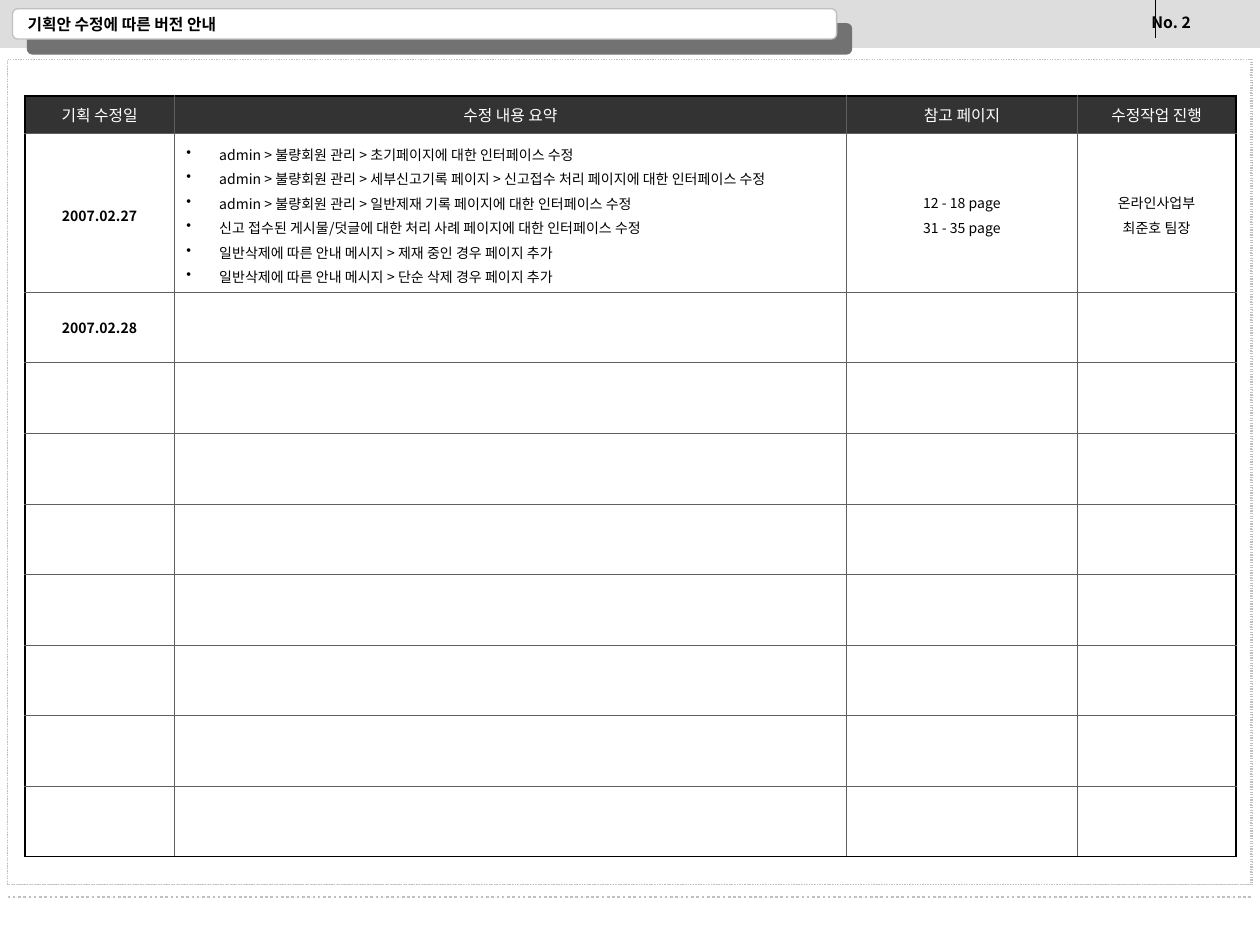
from lxml.etree import SubElement
from pptx import Presentation
from pptx.dml.color import RGBColor
from pptx.enum.dml import MSO_LINE
from pptx.enum.shapes import MSO_CONNECTOR, MSO_SHAPE
from pptx.enum.text import MSO_ANCHOR, MSO_AUTO_SIZE, PP_ALIGN
from pptx.oxml.ns import qn
from pptx.util import Inches, Pt

FONT = "Noto Sans CJK KR"
BLACK, WHITE, SILVER, GRID = "000000", "FFFFFF", "C0C0C0", "5F5F5F"
COLUMN_WIDTHS = [1.18, 5.34, 1.83, 1.26]
ROW_HEIGHTS = [0.3, 1.26] + [0.56] * 8
HEADERS = ["기획 수정일", "수정 내용 요약", "참고 페이지", "수정작업 진행"]
CHANGES = [
    "admin > 불량회원 관리 > 초기페이지에 대한 인터페이스 수정",
    "admin > 불량회원 관리 > 세부신고기록 페이지 > 신고접수 처리 페이지에 대한 인터페이스 수정",
    "admin > 불량회원 관리 > 일반제재 기록 페이지에 대한 인터페이스 수정",
    "신고 접수된 게시물/덧글에 대한 처리 사례 페이지에 대한 인터페이스 수정",
    "일반삭제에 따른 안내 메시지 > 제재 중인 경우 페이지 추가",
    "일반삭제에 따른 안내 메시지 > 단순 삭제 경우 페이지 추가",
]
REVISIONS = [
    ["2007.02.27", "\n".join(CHANGES), "12 - 18 page\n31 - 35 page", "온라인사업부\n최준호 팀장"],
    ["2007.02.28", "", "", ""],
]


def color(value):
    return RGBColor.from_string(value)


def style_line(line, value, width, dotted=False):
    line.color.rgb = color(value)
    line.width = Pt(width)
    if dotted:
        line.dash_style = MSO_LINE.ROUND_DOT


def style_paragraph(paragraph, size, value=BLACK, bold=False):
    font = paragraph.font
    font.size = Pt(size)
    font.bold = bold
    font.color.rgb = color(value)
    font.name = FONT
    SubElement(font._element, qn("a:ea"), typeface=FONT)


def add_panel(page, left, top, width, height, fill, dotted=True, kind=MSO_SHAPE.RECTANGLE):
    panel = page.shapes.add_shape(kind, Inches(left), Inches(top), Inches(width), Inches(height))
    panel.shadow.inherit = False
    panel.fill.solid()
    panel.fill.fore_color.rgb = color(fill)
    style_line(panel.line, SILVER, 0.75, dotted)
    return panel


def add_title_bar(page):
    bar = add_panel(page, 0.1, 0.07, 6.54, 0.24, WHITE, False, MSO_SHAPE.ROUNDED_RECTANGLE)
    effects = bar._element.spPr.find(qn("a:effectLst"))
    shadow = SubElement(effects, qn("a:outerShdw"), dist=str(Pt(12.1)), dir="2700000",
                        algn="ctr", rotWithShape="0")
    SubElement(shadow, qn("a:srgbClr"), val="727272")


def add_rule(page, start, end, value, width, dotted=False):
    rule = page.shapes.add_connector(MSO_CONNECTOR.STRAIGHT, *map(Inches, start + end))
    style_line(rule.line, value, width, dotted)
    SubElement(rule._element.spPr, qn("a:effectLst"))


def add_label(page, text, left, top, width, height):
    box = page.shapes.add_textbox(Inches(left), Inches(top), Inches(width), Inches(height))
    frame = box.text_frame
    frame.word_wrap = True
    frame.text = text
    style_paragraph(frame.paragraphs[0], 9, bold=True)
    return frame


def add_bullet(paragraph):
    properties = paragraph._p.get_or_add_pPr()
    properties.set("marL", str(Inches(0.26)))
    properties.set("indent", str(-Inches(0.26)))
    marker_color = SubElement(properties, qn("a:buClr"))
    SubElement(marker_color, qn("a:srgbClr"), val=BLACK)
    SubElement(properties, qn("a:buChar"), char="•")


def set_borders(cell, outer_sides):
    properties = cell._tc.get_or_add_tcPr()
    for side in "LRTB":
        value, width = (BLACK, 1.08) if side in outer_sides else (GRID, 0.45)
        border = SubElement(properties, qn(f"a:ln{side}"), w=str(Pt(width)))
        fill = SubElement(border, qn("a:solidFill"))
        SubElement(fill, qn("a:srgbClr"), val=value)


def fill_cell(cell, text, row, column):
    cell.vertical_anchor = MSO_ANCHOR.MIDDLE
    cell.margin_left = cell.margin_right = Inches(0.1)
    cell.margin_top = cell.margin_bottom = Inches(0.05)
    if row == 0:
        cell.fill.solid()
        cell.fill.fore_color.rgb = color("333333")
    else:
        cell.fill.background()
    if not text:
        return
    cell.text_frame.text = text
    for paragraph in cell.text_frame.paragraphs:
        if row == 1 and column == 1:
            add_bullet(paragraph)
        else:
            paragraph.alignment = PP_ALIGN.CENTER
        if row == 1:
            paragraph.line_spacing = 1.2
        if row == 0:
            style_paragraph(paragraph, 9, WHITE)
        else:
            style_paragraph(paragraph, 8, bold=column == 0)


def add_revision_table(page):
    rows, columns = len(ROW_HEIGHTS), len(COLUMN_WIDTHS)
    frame = page.shapes.add_table(rows, columns, Inches(0.2), Inches(0.76),
                                  Inches(sum(COLUMN_WIDTHS)), Inches(sum(ROW_HEIGHTS)))
    table = frame.table
    table.first_row = table.horz_banding = False
    for column, width in enumerate(COLUMN_WIDTHS):
        table.columns[column].width = Inches(width)
    contents = [HEADERS] + REVISIONS
    contents += [[""] * columns] * (rows - len(contents))
    for row, texts in enumerate(contents):
        table.rows[row].height = Inches(ROW_HEIGHTS[row])
        for column, text in enumerate(texts):
            edges = {"L": column == 0, "R": column == columns - 1,
                     "T": row == 0, "B": row == rows - 1}
            cell = table.cell(row, column)
            set_borders(cell, [side for side, outer in edges.items() if outer])
            fill_cell(cell, text, row, column)


def main():
    deck = Presentation()
    deck.slide_width, deck.slide_height = Inches(10), Inches(7.5)
    page = deck.slides.add_slide(deck.slide_layouts[6])
    header = add_panel(page, 0, 0, 10, 0.38, "DDDDDD", False)
    header.line.fill.background()
    add_rule(page, (9.17, 0), (9.17, 0.3), BLACK, 0.75)
    number = add_label(page, "No. 2", 9.04, 0.05, 1.08, 0.28)
    number.word_wrap = False
    number.auto_size = MSO_AUTO_SIZE.SHAPE_TO_FIT_TEXT
    add_title_bar(page)
    add_rule(page, (0.06, 7.12), (9.94, 7.12), SILVER, 1.5, True)
    for left, width in [(7.14, 2.8), (0.06, 7.03), (0.06, 9.87)]:
        add_panel(page, left, 0.47, width, 6.55, WHITE)
    title = add_label(page, "기획안 수정에 따른 버전 안내", 0.12, 0.1, 5.42, 0.18)
    title.vertical_anchor = MSO_ANCHOR.MIDDLE
    add_revision_table(page)
    deck.save("out.pptx")


if __name__ == "__main__":
    main()
